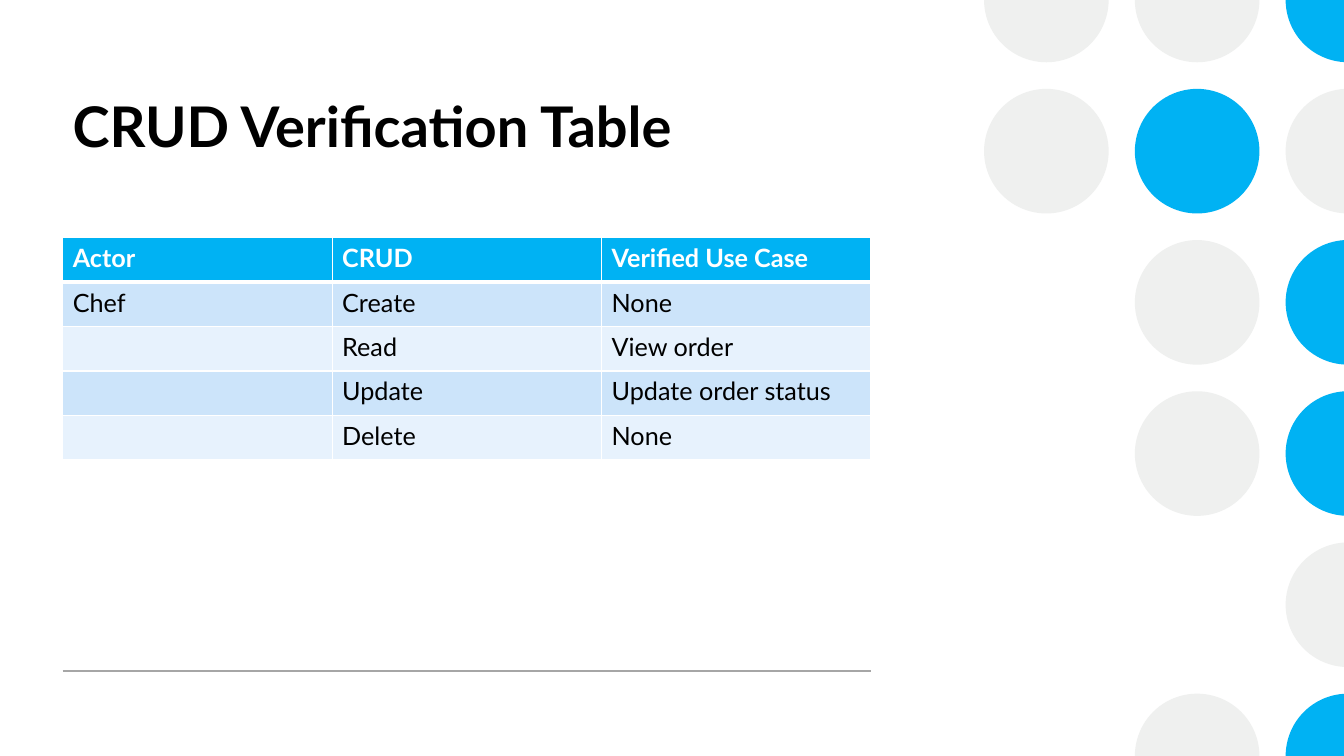
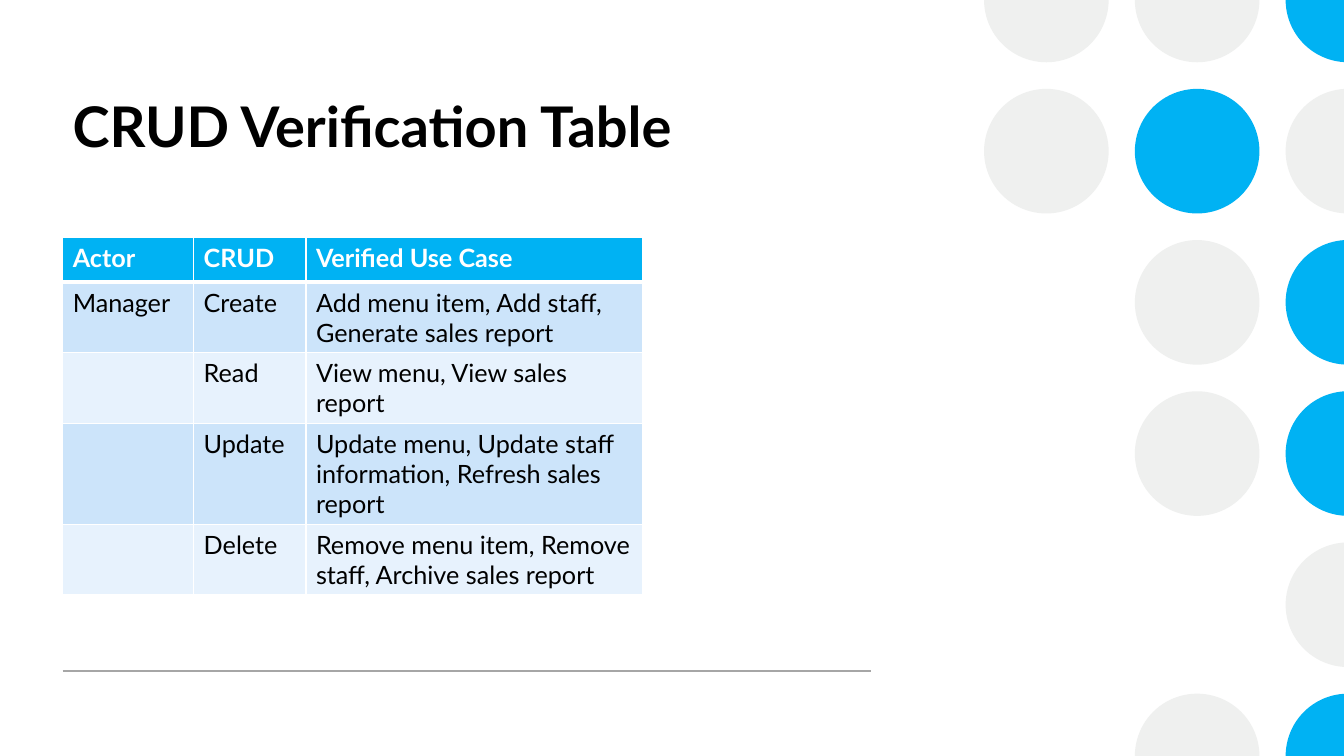
import math

import lxml.etree
import pptx
import pptx.dml.color
import pptx.enum.shapes
import pptx.enum.text
import pptx.oxml.ns
import pptx.util

Cm = pptx.util.Cm
Pt = pptx.util.Pt
qn = pptx.oxml.ns.qn

COLORS = {
    "accent": "00B2F3",
    "dot": "EFF0EF",
    "rule": "A6A6A6",
    "text": "000000",
    "white": "FFFFFF",
    "band_dark": "CCE4FA",
    "band_light": "E7F2FD",
}
FONT = "Lato"
TITLE_FONT = {"name": FONT, "size": Pt(40), "bold": True}
HEADER_FONT = {"name": FONT, "size": Pt(18), "bold": True}
BODY_FONT = {"name": FONT, "size": Pt(18), "bold": False}
TITLE_FRAME = {
    "word_wrap": True,
    "vertical_anchor": pptx.enum.text.MSO_ANCHOR.TOP,
    "margin_top": Cm(0.18),
}

SLIDE_WIDTH, SLIDE_HEIGHT = Cm(33.87), Cm(19.05)
LEFT, CONTENT_WIDTH = Cm(1.58), Cm(20.37)
TITLE_BOX = (LEFT, Cm(2.13), CONTENT_WIDTH, Cm(3.53))
TABLE_TOP = Cm(5.99)
RULE_TOP = Cm(16.91)

DOT_ROWS = ["ggb", "gbg", " gb", " gb", "  g", " gb"]
DOT_COLORS = {"g": "dot", "b": "accent"}
DOT_ORIGIN = (Cm(26.37), Cm(0))
DOT_PITCH_X, DOT_PITCH_Y = Cm(3.8), Cm(3.81)
DOT_RADIUS = Cm(1.57)
ANGLE_UNITS = 60000

HEADINGS = ["Actor", "CRUD", "Verified Use Case"]
TABLES = [
    {
        "widths": [6.79, 6.79, 6.79],
        "heights": [1.12] * 5,
        "rows": [
            ["Chef", "Create", "None"],
            ["", "Read", "View order"],
            ["", "Update", "Update order status"],
            ["", "Delete", "None"],
        ],
    },
    {
        "widths": [3.3, 2.83, 8.48],
        "heights": [1.12, 1.78, 1.78, 2.54, 1.78],
        "rows": [
            ["Manager", "Create", "Add menu item, Add staff, Generate sales report"],
            ["", "Read", "View menu, View sales report"],
            ["", "Update", "Update menu, Update staff information, Refresh sales report"],
            ["", "Delete", "Remove menu item, Remove staff, Archive sales report"],
        ],
    },
]


def rgb(color):
    return pptx.dml.color.RGBColor.from_string(COLORS[color])


def apply_format(target, values):
    for attribute, value in values.items():
        setattr(target, attribute, value)


def set_fill(target, color):
    target.fill.solid()
    target.fill.fore_color.rgb = rgb(color)


def write(frame, text, font_values, color):
    paragraph = frame.paragraphs[0]
    if text:
        paragraph.add_run().text = text
    for part in (paragraph, *paragraph.runs):
        apply_format(part.font, font_values)
        part.font.color.rgb = rgb(color)


def add_point(outline, tag, x, y):
    step = lxml.etree.SubElement(outline, qn(f"a:{tag}"))
    lxml.etree.SubElement(step, qn("a:pt"), x=str(round(x)), y=str(round(y)))


def add_cut_dot(slide, center_x, center_y):
    left, right = center_x - DOT_RADIUS, min(center_x + DOT_RADIUS, SLIDE_WIDTH)
    top = max(center_y - DOT_RADIUS, 0)
    bottom = min(center_y + DOT_RADIUS, SLIDE_HEIGHT)
    cut_top = center_y < DOT_RADIUS
    cut_bottom = center_y + DOT_RADIUS > SLIDE_HEIGHT
    cut_right = center_x + DOT_RADIUS > SLIDE_WIDTH

    edge = math.degrees(math.acos((right - center_x) / DOT_RADIUS))
    start = 180 if cut_bottom else edge
    end = 180 if cut_top else 360 - edge

    builder = slide.shapes.build_freeform(left, top, scale=1.0)
    builder.add_line_segments([(right, top), (right, bottom), (left, bottom)])
    dot = builder.convert_to_shape()
    outline = dot._element.spPr.find(f".//{qn('a:path')}")
    for step in list(outline):
        outline.remove(step)
    add_point(outline, "moveTo",
              center_x + DOT_RADIUS * math.cos(math.radians(start)) - left,
              center_y + DOT_RADIUS * math.sin(math.radians(start)) - top)
    lxml.etree.SubElement(
        outline, qn("a:arcTo"), wR=str(DOT_RADIUS), hR=str(DOT_RADIUS),
        stAng=str(round(start * ANGLE_UNITS)),
        swAng=str(round((end - start) * ANGLE_UNITS)))
    if cut_right and (cut_top or cut_bottom):
        add_point(outline, "lnTo", right - left, 0 if cut_top else bottom - top)
    lxml.etree.SubElement(outline, qn("a:close"))
    return dot


def add_dot(slide, center_x, center_y, color):
    left, top = center_x - DOT_RADIUS, center_y - DOT_RADIUS
    size = 2 * DOT_RADIUS
    fits_across = left + size <= SLIDE_WIDTH
    fits_down = top >= 0 and top + size <= SLIDE_HEIGHT
    if fits_across and fits_down:
        dot = slide.shapes.add_shape(
            pptx.enum.shapes.MSO_SHAPE.OVAL, left, top, size, size)
    else:
        dot = add_cut_dot(slide, center_x, center_y)
    dot.shadow.inherit = False
    set_fill(dot, color)
    dot.line.fill.background()


def add_dot_grid(slide, origin):
    left, top = origin
    for row, marks in enumerate(DOT_ROWS):
        for column, mark in enumerate(marks):
            if mark in DOT_COLORS:
                add_dot(slide, left + column * DOT_PITCH_X,
                        top + row * DOT_PITCH_Y, DOT_COLORS[mark])


def add_footer_rule(slide, left, top, width):
    rule = slide.shapes.add_connector(
        pptx.enum.shapes.MSO_CONNECTOR.STRAIGHT, left, top, left + width, top)
    rule.line.width = Pt(1)
    rule.line.color.rgb = rgb("rule")
    lxml.etree.SubElement(rule._element.spPr, qn("a:effectLst"))


def add_title(slide, box, text):
    frame = slide.shapes.add_textbox(*box).text_frame
    apply_format(frame, TITLE_FRAME)
    write(frame, text, TITLE_FONT, "text")


def set_borders(cell, widths):
    properties = cell._tc.get_or_add_tcPr()
    for side, width in widths.items():
        border = lxml.etree.SubElement(
            properties, qn(f"a:ln{side}"), w=str(int(Pt(width))))
        fill = lxml.etree.SubElement(border, qn("a:solidFill"))
        lxml.etree.SubElement(fill, qn("a:srgbClr"), val=COLORS["white"])


def add_crud_table(slide, left, top, content):
    widths = [Cm(width) for width in content["widths"]]
    heights = [Cm(height) for height in content["heights"]]
    rows = [HEADINGS] + content["rows"]
    table = slide.shapes.add_table(
        len(rows), len(widths), left, top, sum(widths), sum(heights)).table
    for column, width in zip(table.columns, widths):
        column.width = width
    for index, (texts, height) in enumerate(zip(rows, heights)):
        table.rows[index].height = height
        if index == 0:
            band, font_values, color = "accent", HEADER_FONT, "white"
        else:
            band = "band_dark" if index % 2 else "band_light"
            font_values, color = BODY_FONT, "text"
        borders = {"L": 1, "R": 1, "T": 3 if index == 1 else 1,
                   "B": 3 if index == 0 else 1}
        for cell, text in zip(table.rows[index].cells, texts):
            set_borders(cell, borders)
            set_fill(cell, band)
            write(cell.text_frame, text, font_values, color)


def add_crud_slide(presentation, content):
    slide = presentation.slides.add_slide(presentation.slide_layouts[6])
    set_fill(slide.background, "white")
    add_dot_grid(slide, DOT_ORIGIN)
    add_footer_rule(slide, LEFT, RULE_TOP, CONTENT_WIDTH)
    add_title(slide, TITLE_BOX, "CRUD Verification Table")
    add_crud_table(slide, LEFT, TABLE_TOP, content)


def main():
    presentation = pptx.Presentation()
    apply_format(presentation, {
        "slide_width": SLIDE_WIDTH, "slide_height": SLIDE_HEIGHT})
    for content in TABLES:
        add_crud_slide(presentation, content)
    presentation.save("out.pptx")


if __name__ == "__main__":
    main()
